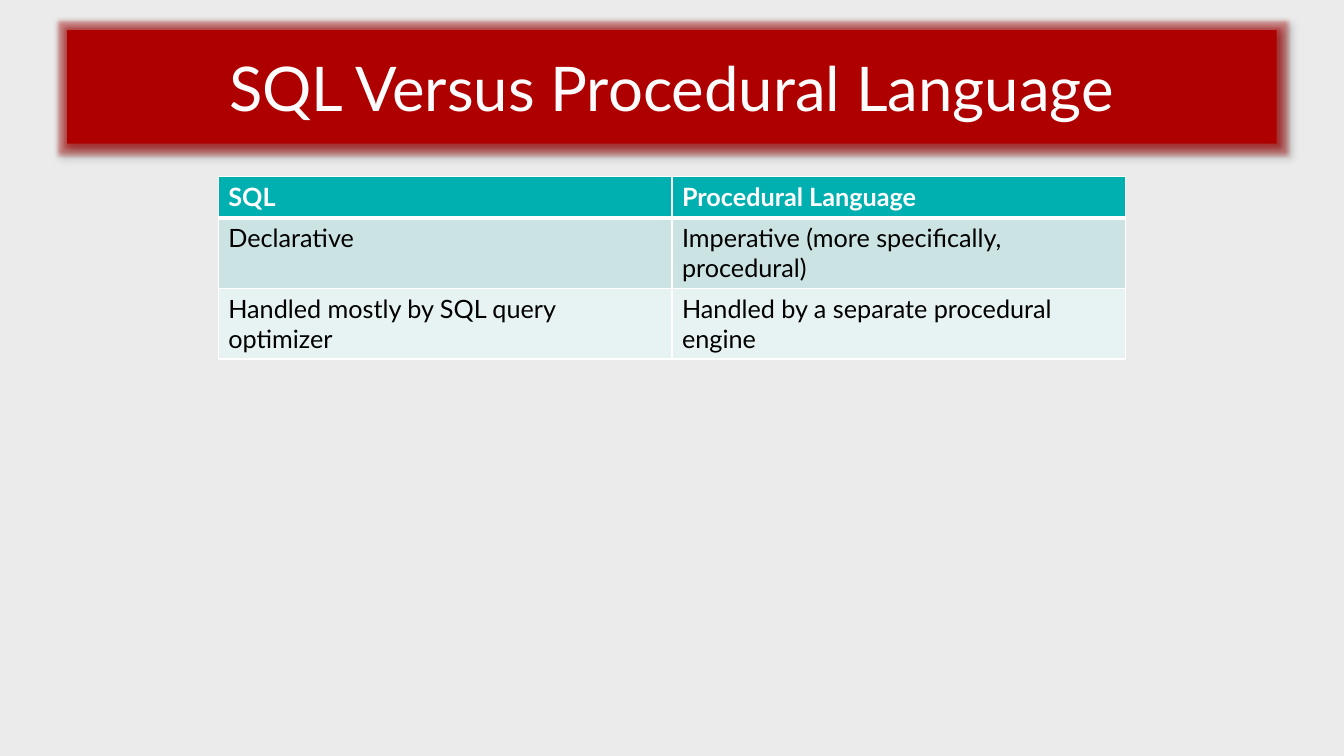
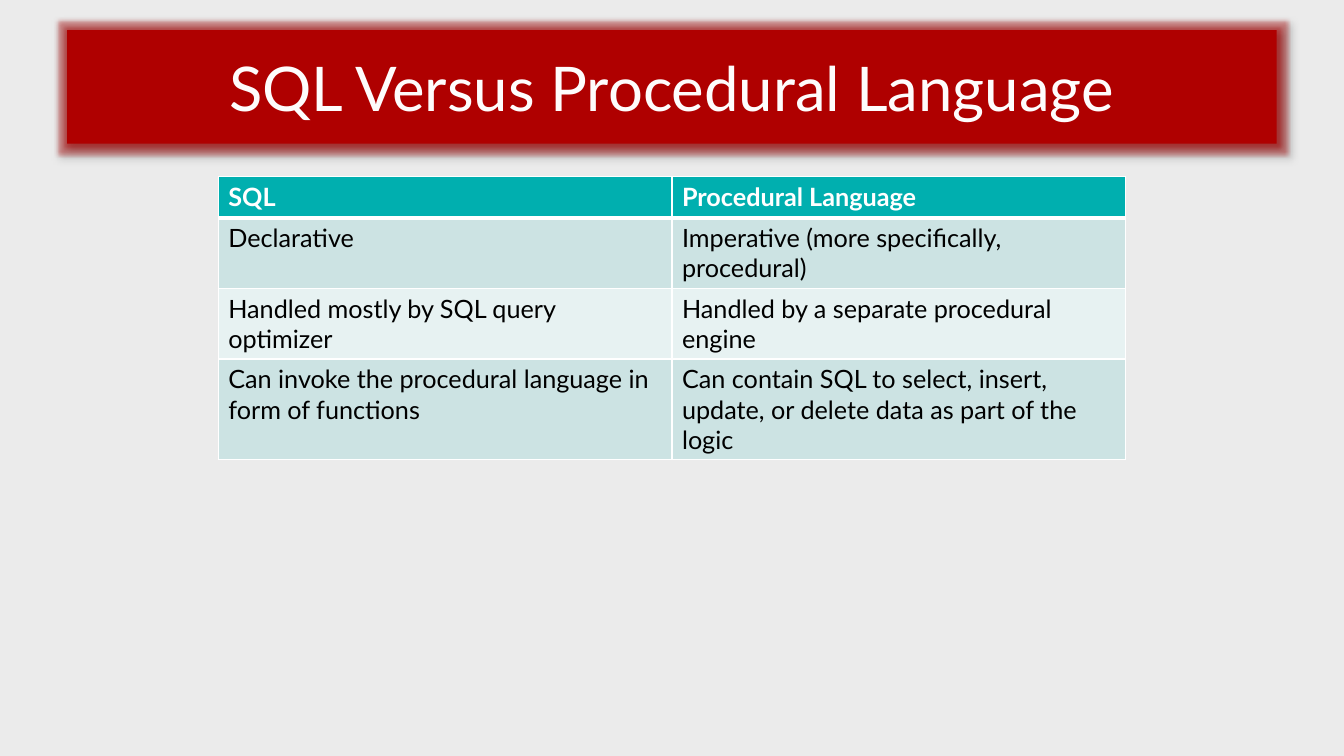
from lxml.etree import SubElement
from pptx import Presentation
from pptx.dml.color import RGBColor
from pptx.enum.shapes import MSO_SHAPE
from pptx.enum.text import MSO_ANCHOR, PP_ALIGN
from pptx.oxml import parse_xml
from pptx.oxml.ns import nsdecls, qn
from pptx.util import Inches, Pt

# Shared style
WIDTH, HEIGHT = Inches(13.33), Inches(7.5)
FONT = "Lato"
BACKGROUND = RGBColor(0xEB, 0xEB, 0xEB)
RED = RGBColor(0xAF, 0x00, 0x00)
TITLE_TEXT = RGBColor(0xFE, 0xFC, 0xFC)
TEAL = RGBColor(0x00, 0xAF, 0xAF)
BANDS = (RGBColor(0xCC, 0xE3, 0xE3), RGBColor(0xE7, 0xF2, 0xF2))
WHITE = RGBColor(0xFF, 0xFF, 0xFF)
BLACK = RGBColor(0x00, 0x00, 0x00)

# Grid
BAND_WIDTH = int(WIDTH * 0.9)
BAND_TOP, BAND_HEIGHT = int(HEIGHT * 0.04), int(HEIGHT * 0.15)
TABLE_WIDTH, TABLE_TOP = Inches(9), Inches(1.75)
ROW_HEIGHT = Inches(0.41)

# Content
TITLE = "SQL Versus Procedural Language"
HEADER = ("SQL", "Procedural Language")
COMPARISONS = [
    ("Declarative", "Imperative (more specifically, procedural)"),
    ("Handled mostly by SQL query optimizer",
     "Handled by a separate procedural engine"),
    ("Can invoke the procedural language in form of functions",
     "Can contain SQL to select, insert, update, or delete data "
     "as part of the logic"),
]


def set_text(tf, text, size, color, bold=False):
    tf.text = text
    p = tf.paragraphs[0]
    font = p.runs[0].font
    font.name, font.size, font.bold = FONT, Pt(size), bold
    font.color.rgb = color
    return p


def add_glow_and_shadow(sp):
    sp._element.spPr.append(parse_xml(
        f'<a:effectLst {nsdecls("a")}>'
        f'<a:glow rad="{Pt(5)}"><a:srgbClr val="{RED}">'
        '<a:alpha val="40000"/></a:srgbClr></a:glow>'
        f'<a:outerShdw blurRad="{Pt(4)}" dist="{Pt(3)}" dir="2700000" '
        f'algn="tl" rotWithShape="0"><a:srgbClr val="{BLACK}">'
        '<a:alpha val="40000"/></a:srgbClr></a:outerShdw></a:effectLst>'))


def add_title_band(s, text):
    sp = s.shapes.add_shape(MSO_SHAPE.RECTANGLE, (WIDTH - BAND_WIDTH) // 2,
                            BAND_TOP, BAND_WIDTH, BAND_HEIGHT)
    sp.fill.solid()
    sp.fill.fore_color.rgb = RED
    sp.line.fill.background()
    add_glow_and_shadow(sp)
    tf = sp.text_frame
    tf.word_wrap = True
    tf.vertical_anchor = MSO_ANCHOR.MIDDLE
    set_text(tf, text, 44, TITLE_TEXT).alignment = PP_ALIGN.CENTER


def set_borders(cell, top=1, bottom=1):
    tcPr = cell._tc.get_or_add_tcPr()
    for side, width in (("L", 1), ("R", 1), ("T", top), ("B", bottom)):
        ln = SubElement(tcPr, qn(f"a:ln{side}"), w=str(Pt(width)))
        fill = SubElement(ln, qn("a:solidFill"))
        SubElement(fill, qn("a:srgbClr"), val=str(WHITE))


def add_comparison_table(s, rows):
    table = s.shapes.add_table(
        len(rows) + 1, len(HEADER), (WIDTH - TABLE_WIDTH) // 2, TABLE_TOP,
        TABLE_WIDTH, ROW_HEIGHT * (len(rows) + 1)).table
    for i, texts in enumerate([HEADER, *rows]):
        is_header = i == 0
        for cell, text in zip(table.rows[i].cells, texts):
            # A heavy rule separates the header from the body
            set_borders(cell, top=3 if i == 1 else 1,
                        bottom=3 if is_header else 1)
            cell.fill.solid()
            cell.fill.fore_color.rgb = TEAL if is_header else BANDS[(i - 1) % 2]
            set_text(cell.text_frame, text, 18,
                     WHITE if is_header else BLACK, is_header)


def add_comparison_slide(prs, rows):
    s = prs.slides.add_slide(prs.slide_layouts[6])
    s.background.fill.solid()
    s.background.fill.fore_color.rgb = BACKGROUND
    add_title_band(s, TITLE)
    add_comparison_table(s, rows)


def main():
    prs = Presentation()
    prs.slide_width, prs.slide_height = WIDTH, HEIGHT
    # Each slide reveals one more comparison
    for count in (2, 3):
        add_comparison_slide(prs, COMPARISONS[:count])
    prs.save("out.pptx")


if __name__ == "__main__":
    main()
